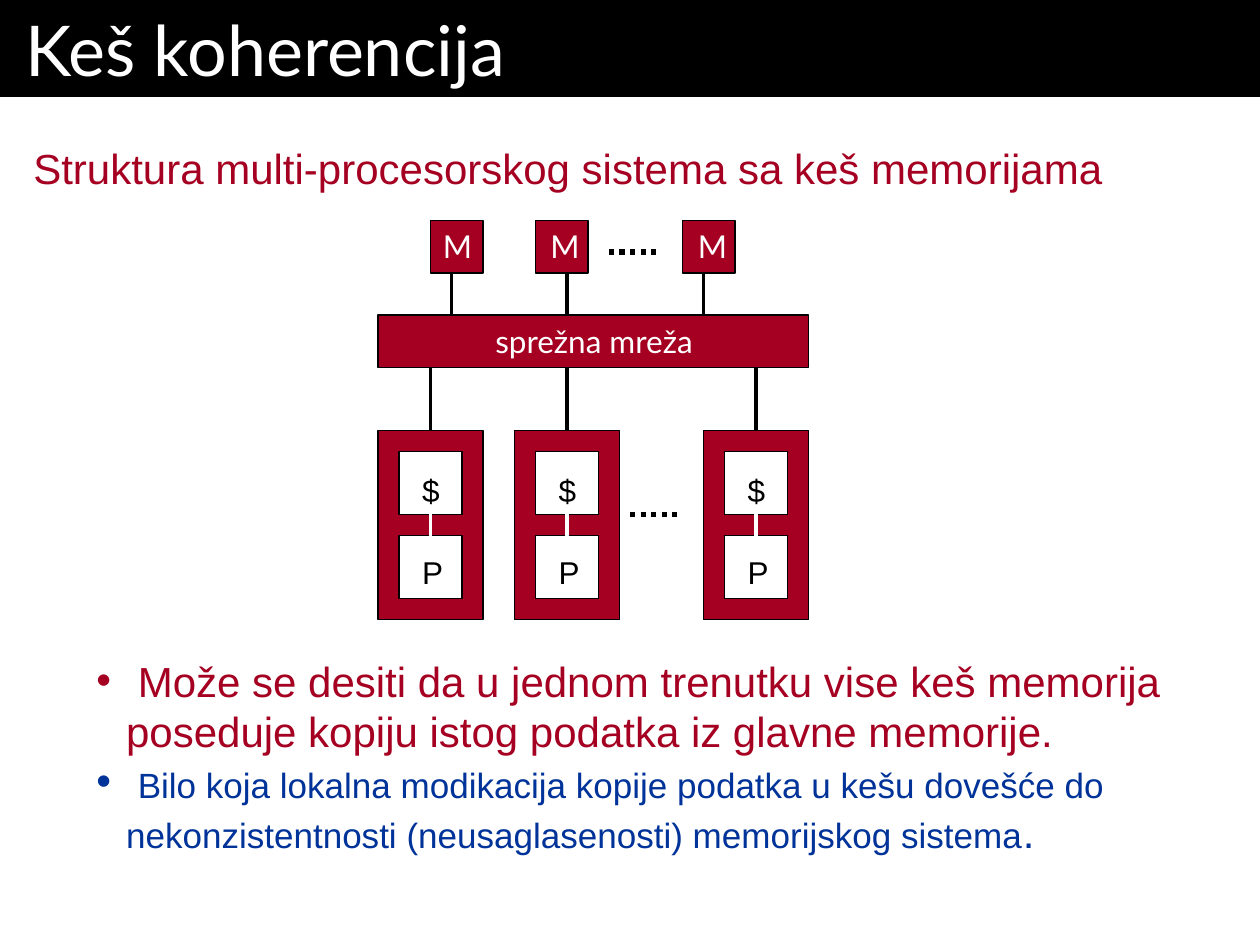
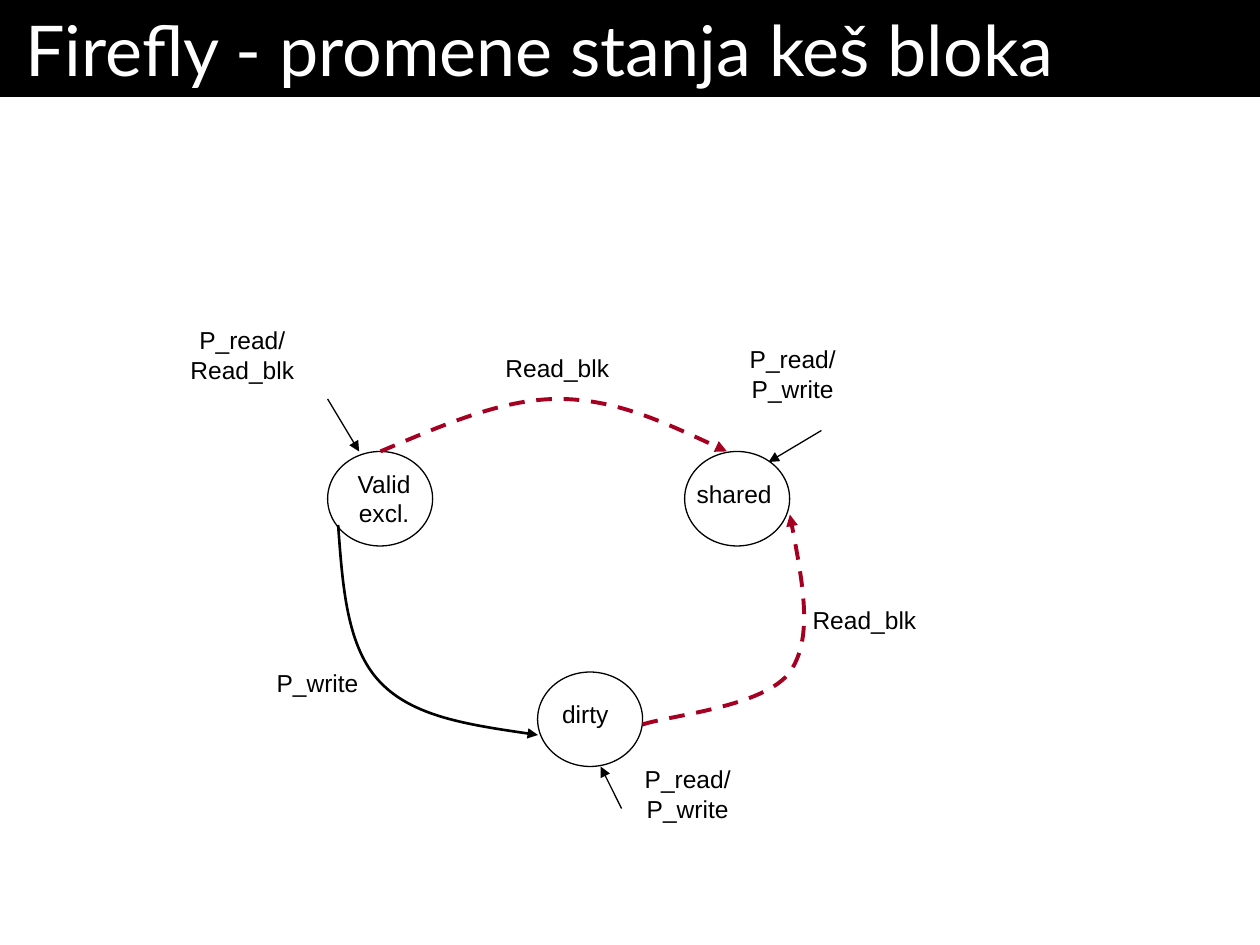
from dataclasses import dataclass

from lxml.etree import SubElement
from pptx import Presentation
from pptx.dml.color import RGBColor
from pptx.enum.dml import MSO_LINE as Dash
from pptx.enum.shapes import MSO_CONNECTOR as Connector, MSO_SHAPE as Preset
from pptx.enum.text import MSO_ANCHOR as Anchor, MSO_AUTO_SIZE as AutoSize, PP_ALIGN as Align
from pptx.oxml.ns import qn
from pptx.util import Pt

COLORS = {
    "black": "000000",
    "white": "FFFFFF",
    "red": "A50021",
    "blue": "003399",
}
TITLE_FONT = "Lato"
BODY_FONT = "Arial"
TITLE_ONLY = 5
BULLET_INDENT = Pt(17)

Point = tuple[float, float]


@dataclass(frozen=True)
class Box:
    left: float
    top: float
    width: float
    height: float

    def lengths(self) -> tuple:
        return Pt(self.left), Pt(self.top), Pt(self.width), Pt(self.height)


@dataclass(frozen=True)
class Label:
    text: str
    box: Box
    size: float = 14
    font: str = BODY_FONT
    color: str = "black"
    wrap: bool = False
    align: Align = Align.CENTER


@dataclass(frozen=True)
class Stroke:
    color: str = "black"
    width: float = 0.75
    dash: Dash | None = None
    arrow: bool = False


@dataclass(frozen=True)
class Segment:
    start: Point
    end: Point
    stroke: Stroke


@dataclass(frozen=True)
class Curve:
    """A chain of cubic curves: a start, then three points for each piece."""
    points: list[Point]
    stroke: Stroke


THIN = Stroke()
LINK = Stroke(width=2.25)
INNER_LINK = Stroke("white", 2.25)
ELLIPSIS = Stroke(width=3, dash=Dash.ROUND_DOT)
THIN_ARROW = Stroke(arrow=True)
WRITE_ARROW = Stroke(width=1.5, arrow=True)
READ_ARROW = Stroke("red", 2.25, Dash.DASH, True)


def rgb(name: str) -> RGBColor:
    return RGBColor.from_string(COLORS[name])


def apply_stroke(shape, stroke: Stroke) -> None:
    shape.line.color.rgb = rgb(stroke.color)
    shape.line.width = Pt(stroke.width)
    if stroke.dash is not None:
        shape.line.dash_style = stroke.dash
    if stroke.arrow:
        outline = shape.element.spPr.find(qn("a:ln"))
        SubElement(outline, qn("a:tailEnd"), type="triangle")


def format_run(run, size: float, font: str, color: str) -> None:
    run.font.size = Pt(size)
    run.font.name = font
    run.font.color.rgb = rgb(color)


def add_titled_slide(presentation, title: str):
    slide = presentation.slides.add_slide(presentation.slide_layouts[TITLE_ONLY])
    band = slide.shapes.title
    band.left, band.top, band.width, band.height = Box(0, 0, 720, 55.4).lengths()
    band.fill.solid()
    band.fill.fore_color.rgb = rgb("black")
    frame = band.text_frame
    frame.text = title
    frame.auto_size = AutoSize.NONE
    frame.vertical_anchor = Anchor.TOP
    frame.margin_left = frame.margin_right = Pt(14.4)
    frame.margin_top = frame.margin_bottom = Pt(3.6)
    paragraph = frame.paragraphs[0]
    paragraph.alignment = Align.LEFT
    format_run(paragraph.runs[0], 40, TITLE_FONT, "white")
    return slide


def add_preset(slide, preset: Preset, box: Box, fill: str | None = None) -> None:
    shape = slide.shapes.add_shape(preset, *box.lengths())
    shape.shadow.inherit = False
    if fill:
        shape.fill.solid()
        shape.fill.fore_color.rgb = rgb(fill)
    else:
        shape.fill.background()
    apply_stroke(shape, THIN)


def add_text_frame(slide, box: Box, wrap: bool):
    frame = slide.shapes.add_textbox(*box.lengths()).text_frame
    frame.word_wrap = wrap
    frame.auto_size = AutoSize.SHAPE_TO_FIT_TEXT
    frame.vertical_anchor = Anchor.BOTTOM
    return frame


def add_label(slide, label: Label) -> None:
    frame = add_text_frame(slide, label.box, label.wrap)
    frame.text = label.text
    for paragraph in frame.paragraphs:
        paragraph.alignment = label.align
        format_run(paragraph.runs[0], label.size, label.font, label.color)


def add_segment(slide, segment: Segment) -> None:
    ends = [Pt(value) for value in segment.start + segment.end]
    connector = slide.shapes.add_connector(Connector.STRAIGHT, *ends)
    apply_stroke(connector, segment.stroke)
    SubElement(connector.element.spPr, qn("a:effectLst"))


def add_curve(slide, curve: Curve) -> None:
    start, *rest = [(Pt(x), Pt(y)) for x, y in curve.points]
    builder = slide.shapes.build_freeform(*start)
    builder.add_line_segments(rest, close=False)
    shape = builder.convert_to_shape()
    # Every three straight steps become one cubic piece.
    path = next(shape.element.iter(qn("a:path")))
    steps = path.findall(qn("a:lnTo"))
    for first in range(0, len(steps), 3):
        piece = SubElement(path, qn("a:cubicBezTo"))
        for step in steps[first:first + 3]:
            piece.append(step[0])
            path.remove(step)
    shape.shadow.inherit = False
    shape.fill.background()
    apply_stroke(shape, curve.stroke)


def add_bullets(slide, box: Box, bullets: list[list[tuple[str, float, str]]]) -> None:
    frame = add_text_frame(slide, box, wrap=True)
    for index, pieces in enumerate(bullets):
        paragraph = frame.add_paragraph() if index else frame.paragraphs[0]
        for text, size, color in pieces:
            run = paragraph.add_run()
            run.text = text
            format_run(run, size, BODY_FONT, color)
        properties = paragraph._p.get_or_add_pPr()
        properties.set("marL", str(BULLET_INDENT))
        properties.set("indent", str(-BULLET_INDENT))
        SubElement(properties, qn("a:buFont"), typeface=BODY_FONT)
        SubElement(properties, qn("a:buChar"), char="•")


def add_memory(slide, left: float, label_left: float, link_x: float) -> None:
    add_preset(slide, Preset.RECTANGLE, Box(left, 126, 30, 30), "red")
    add_label(slide, Label("M", Box(label_left, 126, 28, 28.8), 18, TITLE_FONT, "white"))
    add_segment(slide, Segment((link_x, 156), (link_x, 180), LINK))


def add_processor_node(slide, left: float) -> None:
    center = left + 30
    add_preset(slide, Preset.RECTANGLE, Box(left, 246, 60, 108), "red")
    for top in (258, 306):
        add_preset(slide, Preset.RECTANGLE, Box(left + 12, top, 36, 36), "white")
    add_label(slide, Label("$", Box(left + 18, 265.3, 24.3, 28.8), 18))
    add_label(slide, Label("P", Box(left + 18, 312.3, 26.4, 28.8), 18))
    add_segment(slide, Segment((center, 294), (center, 306), INNER_LINK))
    add_segment(slide, Segment((center, 210), (center, 246), LINK))


def build_structure_slide(presentation) -> None:
    slide = add_titled_slide(presentation, "Keš koherencija")
    add_label(slide, Label("Struktura multi-procesorskog sistema sa keš memorijama",
                           Box(12, 78, 648, 36), 24, color="red", wrap=True, align=Align.LEFT))
    for left, label_left, link_x in ((246, 246, 258), (306, 307.5, 324), (390, 391.7, 402)):
        add_memory(slide, left, label_left, link_x)
    add_preset(slide, Preset.RECTANGLE, Box(216, 180, 246, 30), "red")
    add_label(slide, Label("sprežna mreža", Box(274.3, 180.5, 130.3, 28.8), 18, TITLE_FONT, "white"))
    for left in (216, 294, 402):
        add_processor_node(slide, left)
    for left, y in ((348, 144), (360, 294)):
        add_segment(slide, Segment((left, y), (left + 30, y), ELLIPSIS))
    add_bullets(slide, Box(48, 370.8, 630, 122.4), [
        [(" Može se desiti da u jednom trenutku vise keš memorija poseduje "
          "kopiju istog podatka iz glavne memorije.", 24, "red")],
        [(" ", 24, "blue"),
         ("Bilo koja lokalna modikacija kopije podatka u kešu dovešće do "
          "nekonzistentnosti (neusaglasenosti) memorijskog sistema", 20, "blue"),
         (".", 24, "blue")],
    ])


def build_states_slide(presentation) -> None:
    slide = add_titled_slide(presentation, "Firefly - promene stanja keš bloka")
    for left, top in ((307.2, 384), (391.2, 258), (187.2, 258)):
        add_preset(slide, Preset.OVAL, Box(left, top, 60, 54))

    curves = [
        Curve([(217.4, 258), (252, 243.4), (286.6, 228), (319, 228),
               (352, 228), (383.8, 243.4), (415.4, 258)], READ_ARROW),
        Curve([(193.2, 300), (195.8, 334.8), (198, 370), (217.4, 390),
               (236.2, 409.7), (271.4, 414.7), (307.4, 420)], WRITE_ARROW),
        Curve([(367.2, 414), (381.6, 409), (437, 404), (451.4, 384),
               (465.1, 364.3), (457.9, 329), (451.4, 294)], READ_ARROW),
    ]
    for curve in curves:
        add_curve(slide, curve)

    for start, end in (((187.2, 228), (205.2, 258)),
                       ((469.4, 246), (439.2, 264)),
                       ((355.2, 462), (343.2, 438))):
        add_segment(slide, Segment(start, end, THIN_ARROW))

    labels = [
        Label("Valid\nexcl.", Box(196.8, 264.2, 45.4, 41)),
        Label("shared", Box(388.5, 270, 62, 24)),
        Label("dirty", Box(312.5, 396, 44, 24)),
        Label("P_read/Read_blk", Box(100, 182, 77, 41), wrap=True),
        Label("P_read/P_write", Box(421, 193, 64, 41), wrap=True),
        Label("P_read/P_write", Box(361, 433, 64, 41), wrap=True),
        Label("P_write", Box(149.5, 378, 64, 24)),
        Label("Read_blk", Box(454, 342, 80, 24)),
        Label("Read_blk", Box(278.5, 198, 80, 24)),
    ]
    for label in labels:
        add_label(slide, label)


def main() -> None:
    presentation = Presentation()
    presentation.slide_width, presentation.slide_height = Pt(720), Pt(540)
    build_structure_slide(presentation)
    build_states_slide(presentation)
    presentation.save("out.pptx")


if __name__ == "__main__":
    main()
